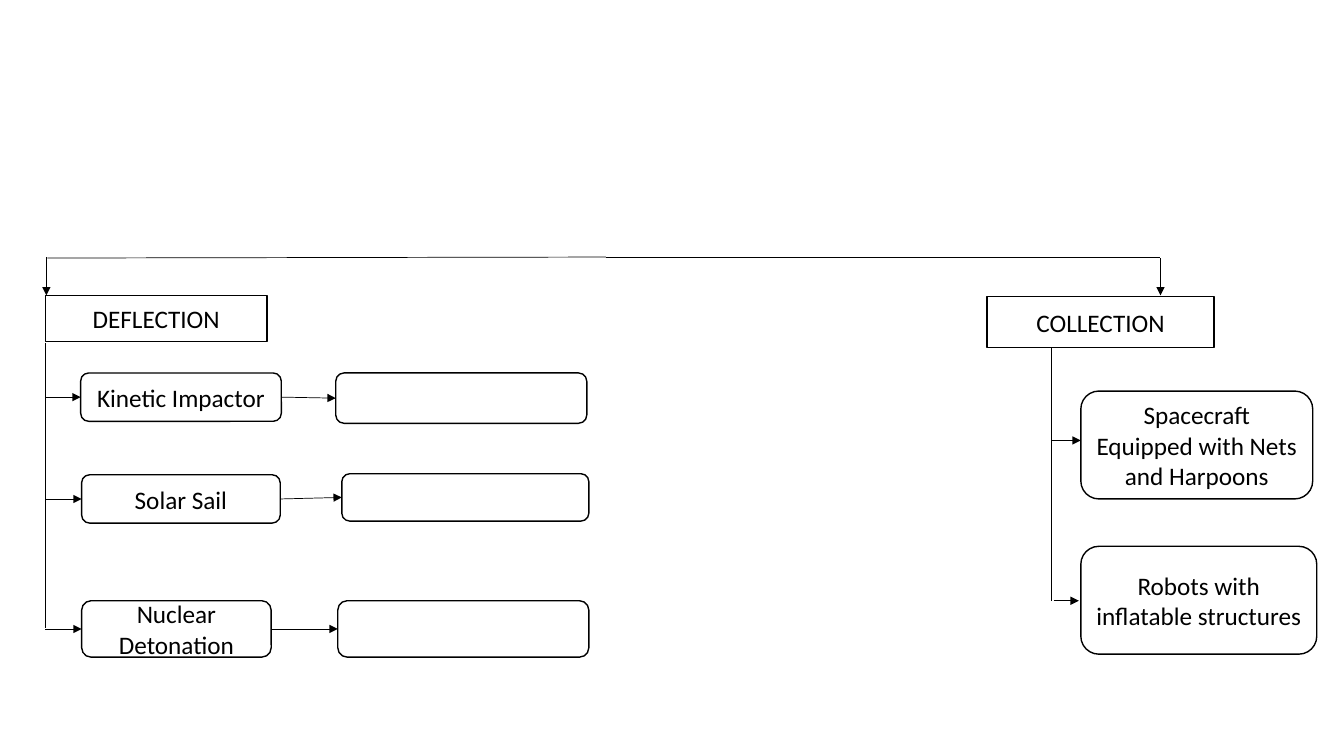
"""Build a slide charting deflection and collection methods."""
from typing import NamedTuple

from lxml import etree
from pptx import Presentation
from pptx import util as u
from pptx.dml import color
from pptx.enum import shapes, text
from pptx.oxml import ns
from pptx.shapes.autoshape import Shape
from pptx.shapes.connector import Connector
from pptx.slide import Slide

BLACK, WHITE = "000000", "FFFFFF"
RECT = shapes.MSO_SHAPE.RECTANGLE
ROUNDED = shapes.MSO_SHAPE.ROUNDED_RECTANGLE
PROCESS = shapes.MSO_SHAPE.FLOWCHART_ALTERNATE_PROCESS
LEFT_SIDE, RIGHT_SIDE = 1, 3
DEFLECTION_X, COLLECTION_X = 0.45, 10.43


class Box(NamedTuple):
    kind: shapes.MSO_SHAPE
    left: float
    top: float
    width: float
    height: float
    label: str = ""

    @property
    def middle(self) -> float:
        return self.top + self.height / 2


class Line(NamedTuple):
    x1: float
    y1: float
    x2: float
    y2: float
    arrow: bool = False


class Method(NamedTuple):
    action: Box
    outcome: Box


HEADINGS = [
    Box(RECT, 0.45, 2.93, 2.2, 0.46, "DEFLECTION"),
    Box(RECT, 9.79, 2.94, 2.25, 0.51, "COLLECTION"),
]
DEFLECTION_METHODS = [
    Method(Box(ROUNDED, 0.8, 3.7, 1.99, 0.48, "Kinetic Impactor"),
           Box(PROCESS, 3.33, 3.7, 2.49, 0.5)),
    Method(Box(ROUNDED, 0.81, 4.71, 1.97, 0.48, "Solar Sail"),
           Box(PROCESS, 3.39, 4.7, 2.45, 0.47)),
    Method(Box(ROUNDED, 0.81, 5.96, 1.88, 0.56, "Nuclear Detonation"),
           Box(PROCESS, 3.35, 5.96, 2.49, 0.56)),
]
COLLECTION_METHODS = [
    Box(PROCESS, 10.72, 3.88, 2.3, 1.07, "Spacecraft Equipped with Nets and Harpoons"),
    Box(PROCESS, 10.72, 5.42, 2.34, 1.07, "Robots with inflatable structures"),
]
BRANCHES = [
    Line(6.01, 2.55, 0.47, 2.56),
    Line(6.01, 2.55, 11.51, 2.55),
    Line(0.46, 2.55, 0.46, 2.93, True),
    Line(11.51, 2.56, 11.51, 2.93, True),
    Line(DEFLECTION_X, 3.4, DEFLECTION_X, 6.23),
    Line(COLLECTION_X, 3.45, COLLECTION_X, 5.96),
    Line(COLLECTION_X, 4.37, 10.72, 4.37, True),
    Line(10.45, 5.96, 10.7, 5.96, True),
]


def rgb(value: str) -> color.RGBColor:
    return color.RGBColor.from_string(value)


def draw_box(slide: Slide, box: Box) -> Shape:
    shape = slide.shapes.add_shape(
        box.kind, *map(u.Inches, (box.left, box.top, box.width, box.height)))
    shape.shadow.inherit = False
    shape.fill.solid()
    shape.fill.fore_color.rgb = rgb(WHITE)
    shape.line.color.rgb = rgb(BLACK)
    shape.line.width = u.Pt(1)
    if box.label:
        frame = shape.text_frame
        frame.text = box.label
        frame.word_wrap = True
        frame.vertical_anchor = text.MSO_ANCHOR.MIDDLE
        paragraph = frame.paragraphs[0]
        paragraph.alignment = text.PP_ALIGN.CENTER
        paragraph.font.name = "Calibri"
        paragraph.font.size = u.Pt(18)
        paragraph.font.color.rgb = rgb(BLACK)
    return shape


def draw_line(slide: Slide, line: Line) -> Connector:
    connector = slide.shapes.add_connector(
        shapes.MSO_CONNECTOR.STRAIGHT,
        *map(u.Inches, (line.x1, line.y1, line.x2, line.y2)))
    connector.line.color.rgb = rgb(BLACK)
    connector.line.width = u.Pt(0.5)
    properties = connector._element.spPr
    if line.arrow:
        outline = properties.find(ns.qn("a:ln"))
        etree.SubElement(outline, ns.qn("a:tailEnd"), type="triangle")
    etree.SubElement(properties, ns.qn("a:effectLst"))
    return connector


def draw_method(slide: Slide, method: Method) -> None:
    action, outcome = method
    action_shape = draw_box(slide, action)
    outcome_shape = draw_box(slide, outcome)
    stub = draw_line(slide, Line(DEFLECTION_X, action.middle, action.left, action.middle, True))
    stub.end_connect(action_shape, LEFT_SIDE)
    link = draw_line(slide, Line(action.left + action.width, action.middle,
                                 outcome.left, outcome.middle, True))
    link.begin_connect(action_shape, RIGHT_SIDE)
    link.end_connect(outcome_shape, LEFT_SIDE)


def main() -> None:
    deck = Presentation()
    deck.slide_width, deck.slide_height = u.Inches(13.33), u.Inches(7.5)
    slide = deck.slides.add_slide(deck.slide_layouts[6])
    for branch in BRANCHES:
        draw_line(slide, branch)
    for box in HEADINGS + COLLECTION_METHODS:
        draw_box(slide, box)
    for method in DEFLECTION_METHODS:
        draw_method(slide, method)
    deck.save("out.pptx")


if __name__ == "__main__":
    main()
